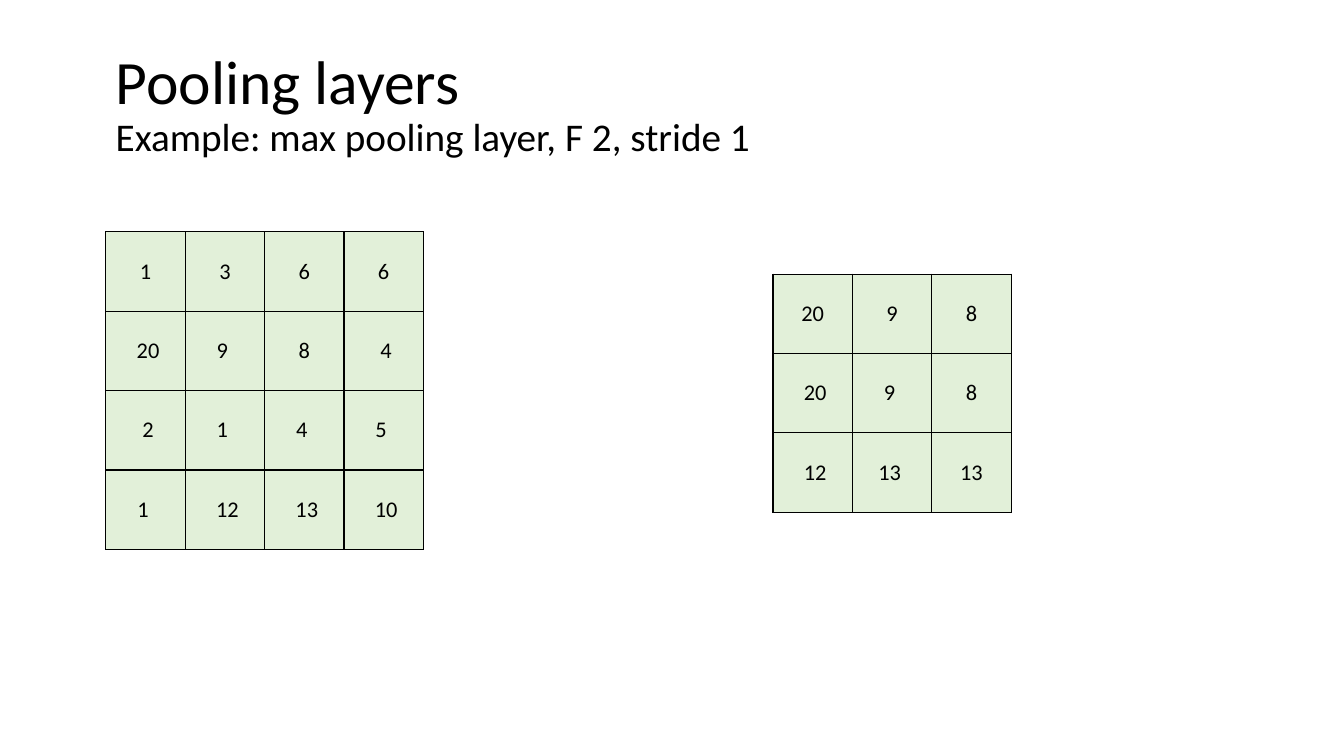
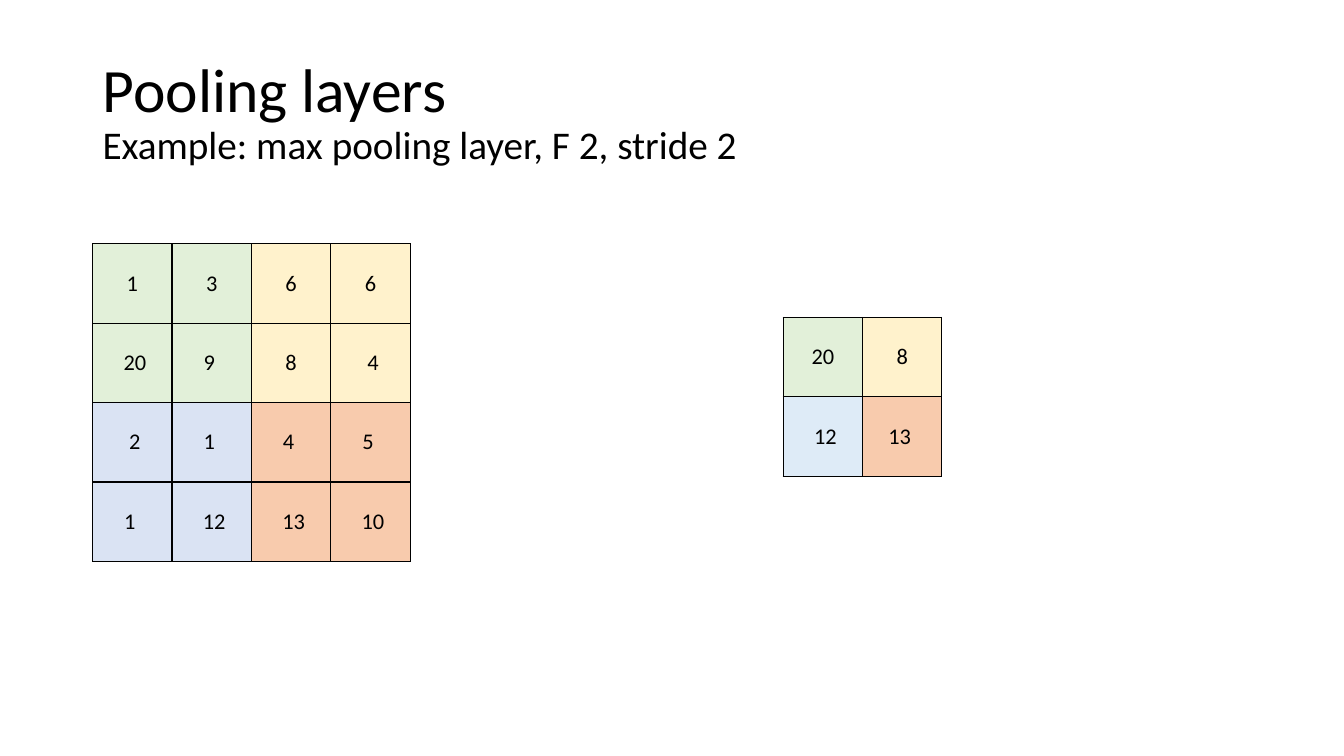
import pptx
import pptx.dml.color
import pptx.enum.text
import pptx.oxml.ns
import pptx.util
from lxml import etree

Pt = pptx.util.Pt
RGB = pptx.dml.color.RGBColor
ALIGN = pptx.enum.text.PP_ALIGN
ANCHOR = pptx.enum.text.MSO_ANCHOR
qn = pptx.oxml.ns.qn

INK = RGB(0x00, 0x00, 0x00)
GREEN = RGB(0xE2, 0xF0, 0xD9)
YELLOW = RGB(0xFF, 0xF2, 0xCC)
BLUE = RGB(0xDA, 0xE3, 0xF3)
SKY = RGB(0xDE, 0xEB, 0xF7)
ORANGE = RGB(0xF8, 0xCB, 0xAD)

FONT = "Calibri"
SIDE = 56.7    # side of a square cell
NBSP = chr(160)

# "~" stands for a no-break space
INPUT = ["1 3 6 6", "~20 9~ 8 ~4", "~2 1~ 4~ 5~", "1~ ~12 ~13 ~10"]
DENSE = ["20 9 8", "~20 9~ 8", "~12 13~ 13"]
SPARSE = ["20 8", "~12 13~"]


def style(font, size):
    font.name = FONT
    font.size = Pt(size)
    font.color.rgb = INK


def add_title(slide, left, top, stride):
    box = slide.shapes.add_textbox(Pt(left), Pt(top), Pt(828), Pt(104.4))
    frame = box.text_frame
    frame.word_wrap = True
    frame.vertical_anchor = ANCHOR.MIDDLE
    para = frame.paragraphs[0]
    para.line_spacing = 0.9
    head = para.add_run()
    head.text = "Pooling layers"
    style(head.font, 44)
    para.add_line_break()
    sub = para.add_run()
    sub.text = f"Example: max pooling layer, F 2, stride {stride}"
    style(sub.font, 28)


def add_border(cell):
    props = cell._tc.get_or_add_tcPr()
    for edge in ("a:lnL", "a:lnR", "a:lnT", "a:lnB"):
        line = etree.SubElement(props, qn(edge), w=str(Pt(1)))
        fill = etree.SubElement(line, qn("a:solidFill"))
        etree.SubElement(fill, qn("a:srgbClr"), val=str(INK))


def add_grid(slide, left, top, rows, fills):
    """Draw square cells; fills is a 2 x 2 block of colours, one a quadrant."""
    count = len(rows)
    size = Pt(SIDE * count)
    table = slide.shapes.add_table(
        count, count, Pt(left), Pt(top), size, size).table
    table.first_row = table.horz_banding = False
    for i, row in enumerate(rows):
        table.rows[i].height = table.columns[i].width = Pt(SIDE)
        for j, text in enumerate(row.split()):
            cell = table.cell(i, j)
            add_border(cell)
            cell.fill.solid()
            cell.fill.fore_color.rgb = fills[2 * i // count][2 * j // count]
            cell.margin_left = cell.margin_right = Pt(5)
            cell.margin_top = cell.margin_bottom = 0
            cell.vertical_anchor = ANCHOR.MIDDLE
            cell.text = text.replace("~", NBSP)
            para = cell.text_frame.paragraphs[0]
            para.alignment = ALIGN.CENTER
            style(para.font, 16)


def add_example(deck, stride, title, source, result):
    """Add a slide; title is a place, source and result are grid arguments."""
    slide = deck.slides.add_slide(deck.slide_layouts[6])
    add_title(slide, *title, stride)
    add_grid(slide, *source)
    add_grid(slide, *result)


def main():
    deck = pptx.Presentation()
    deck.slide_width, deck.slide_height = Pt(960), Pt(540)
    plain = [[GREEN, GREEN], [GREEN, GREEN]]
    blocks = [[GREEN, YELLOW], [BLUE, ORANGE]]
    pooled = [[GREEN, YELLOW], [SKY, ORANGE]]
    add_example(deck, 1, (75.6, 23), (75.6, 165.6, INPUT, plain),
                (552.2, 195.8, DENSE, plain))
    add_example(deck, 2, (66.2, 28.8), (66.2, 174.2, INPUT, blocks),
                (559.4, 226.8, SPARSE, pooled))
    deck.save("out.pptx")


if __name__ == "__main__":
    main()
